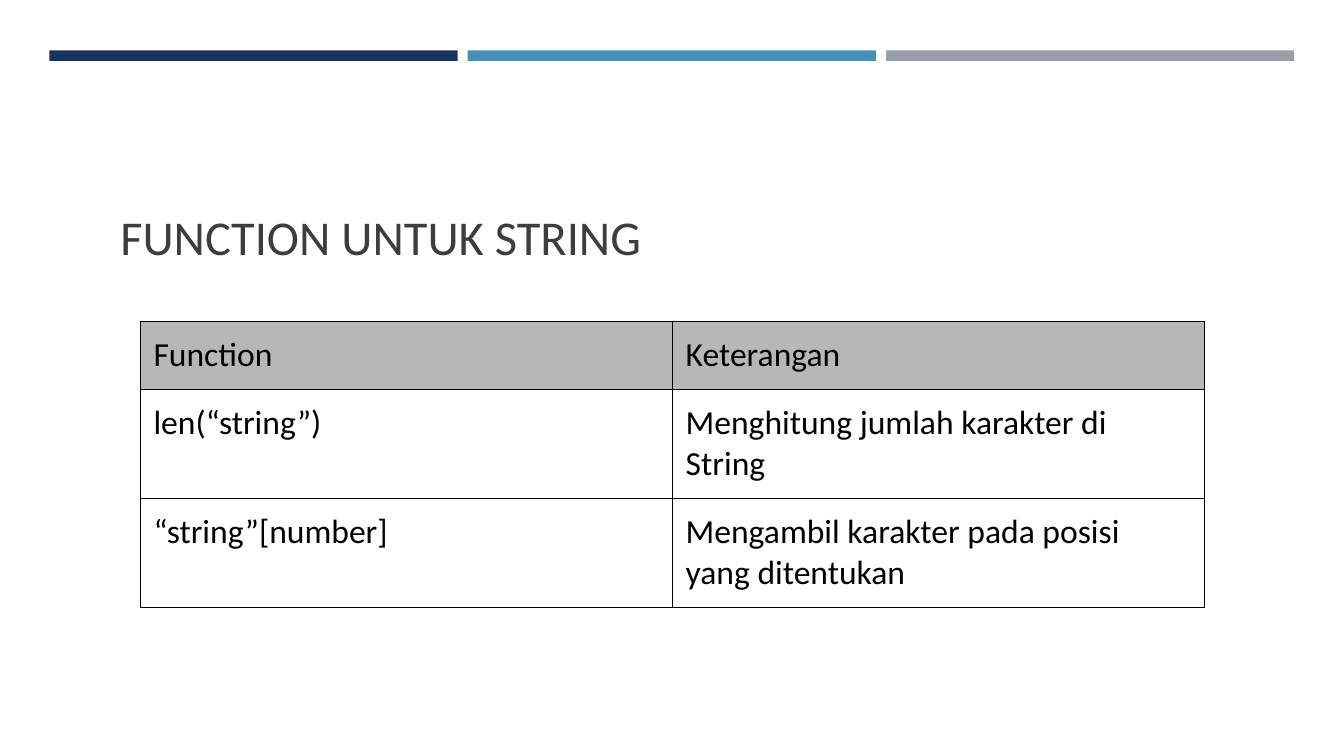
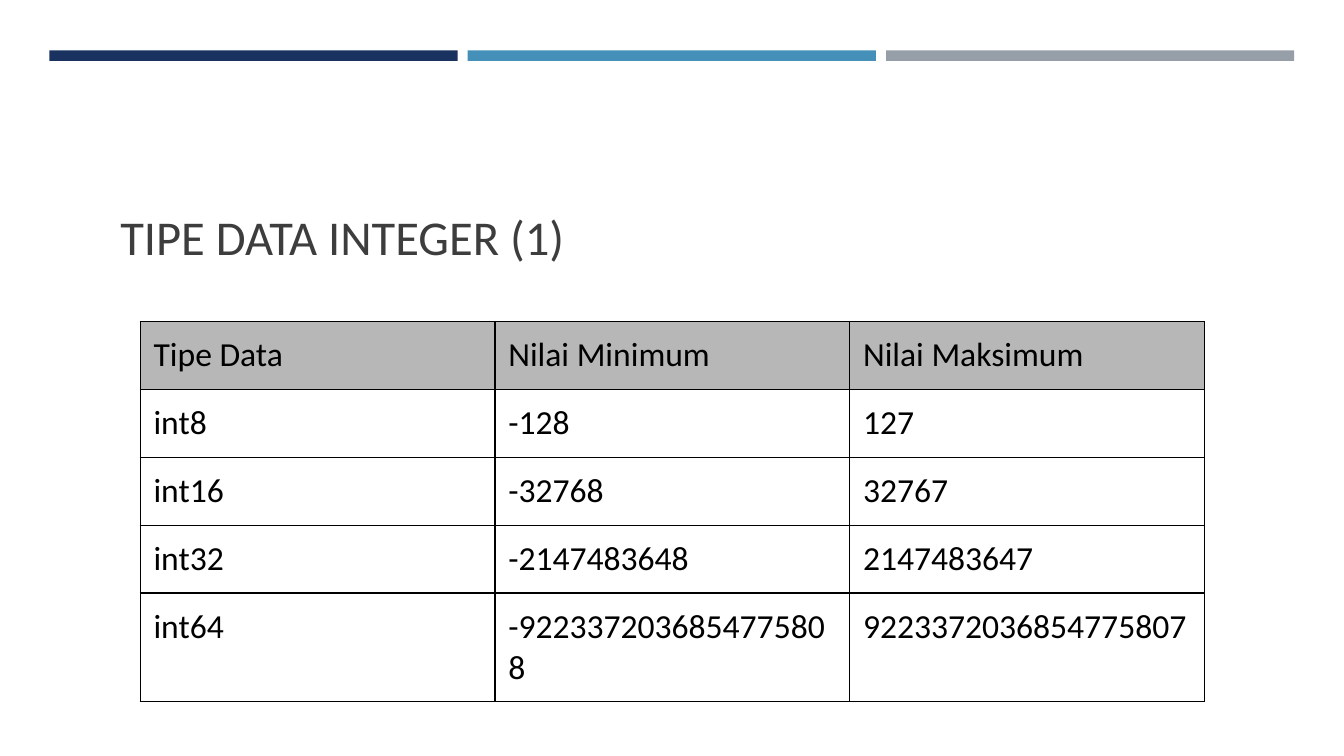
from dataclasses import dataclass

from lxml import etree
from pptx import Presentation
from pptx.dml import color, fill
from pptx.enum import shapes, text
from pptx.oxml import ns
from pptx.util import Pt

FONT = "Calibri"
BLACK = "000000"
TITLE_COLOR = "3D3D3D"
HEADER_FILL = "B7B7B7"
BAND_COLORS = ("1A3260", "4590B8", "969FA7")
BAND_LEFT, BAND_TOP, BAND_WIDTH, BAND_HEIGHT, BAND_GAP = 35.3, 36, 291.6, 7.5, 7.2
TABLE_LEFT, TABLE_TOP, TABLE_WIDTH = 100.1, 229.7, 760.3
INSET = 9.6
ROW_HEIGHT, TALL_ROW_HEIGHT = 48.4, 77.4


@dataclass(frozen=True)
class TableSlide:
    title: str
    rows: tuple[tuple[str, ...], ...]
    tall_rows: tuple[int, ...]


SLIDES = (
    TableSlide(
        "FUNCTION UNTUK STRING",
        (
            ("Function", "Keterangan"),
            ("len(“string”)", "Menghitung jumlah karakter di String"),
            ("“string”[number]", "Mengambil karakter pada posisi yang ditentukan"),
        ),
        (1, 2),
    ),
    TableSlide(
        "TIPE DATA INTEGER (1)",
        (
            ("Tipe Data", "Nilai Minimum", "Nilai Maksimum"),
            ("int8", "-128", "127"),
            ("int16", "-32768", "32767"),
            ("int32", "-2147483648", "2147483647"),
            ("int64", "-9223372036854775808", "9223372036854775807"),
        ),
        (4,),
    ),
)


def paint(target: fill.FillFormat, hex_color: str) -> None:
    target.solid()
    target.fore_color.rgb = color.RGBColor.from_string(hex_color)


def format_text(tf, size: float, hex_color: str) -> None:
    for p in tf.paragraphs:
        p.alignment = text.PP_ALIGN.LEFT
        for r in p.runs:
            r.font.name = FONT
            r.font.size = Pt(size)
            r.font.bold = False
            paint(r.font.fill, hex_color)


def set_insets(box) -> None:
    box.margin_left = box.margin_right = Pt(INSET)
    box.margin_top = box.margin_bottom = Pt(INSET)


def add_bands(s) -> None:
    for i, hex_color in enumerate(BAND_COLORS):
        left = BAND_LEFT + i * (BAND_WIDTH + BAND_GAP)
        sp = s.shapes.add_shape(
            shapes.MSO_SHAPE.RECTANGLE,
            Pt(left), Pt(BAND_TOP), Pt(BAND_WIDTH), Pt(BAND_HEIGHT),
        )
        sp.shadow.inherit = False
        paint(sp.fill, hex_color)
        sp.line.fill.background()


def set_title(s, title: str) -> None:
    sp = s.shapes.title
    sp.left, sp.top, sp.width, sp.height = Pt(76.3), Pt(138.5), Pt(807), Pt(56.2)
    tf = sp.text_frame
    tf.text = title
    tf.word_wrap = True
    tf.auto_size = text.MSO_AUTO_SIZE.NONE
    tf.vertical_anchor = text.MSO_ANCHOR.TOP
    set_insets(tf)
    format_text(tf, 34.7, TITLE_COLOR)


def add_borders(cell) -> None:
    props = cell._tc.get_or_add_tcPr()
    for side in ("lnL", "lnR", "lnT", "lnB"):
        line = etree.SubElement(props, ns.qn(f"a:{side}"), w=str(Pt(1)))
        solid = etree.SubElement(line, ns.qn("a:solidFill"))
        etree.SubElement(solid, ns.qn("a:srgbClr"), val=BLACK)


def add_table(s, spec: TableSlide) -> None:
    heights = [
        TALL_ROW_HEIGHT if i in spec.tall_rows else ROW_HEIGHT
        for i in range(len(spec.rows))
    ]
    columns = len(spec.rows[0])
    table = s.shapes.add_table(
        len(heights), columns,
        Pt(TABLE_LEFT), Pt(TABLE_TOP), Pt(TABLE_WIDTH), Pt(sum(heights)),
    ).table
    table.horz_banding = False
    for column in table.columns:
        column.width = Pt(TABLE_WIDTH / columns)
    for i, (height, values) in enumerate(zip(heights, spec.rows)):
        table.rows[i].height = Pt(height)
        for j, value in enumerate(values):
            cell = table.cell(i, j)
            cell.text_frame.text = value
            set_insets(cell)
            format_text(cell.text_frame, 24, BLACK)
            add_borders(cell)
            if i == 0:
                paint(cell.fill, HEADER_FILL)
            else:
                cell.fill.background()


def main() -> None:
    prs = Presentation()
    prs.slide_width, prs.slide_height = Pt(960), Pt(540)
    for spec in SLIDES:
        s = prs.slides.add_slide(prs.slide_layouts.get_by_name("Title Only"))
        add_bands(s)
        set_title(s, spec.title)
        add_table(s, spec)
    prs.save("out.pptx")


if __name__ == "__main__":
    main()
